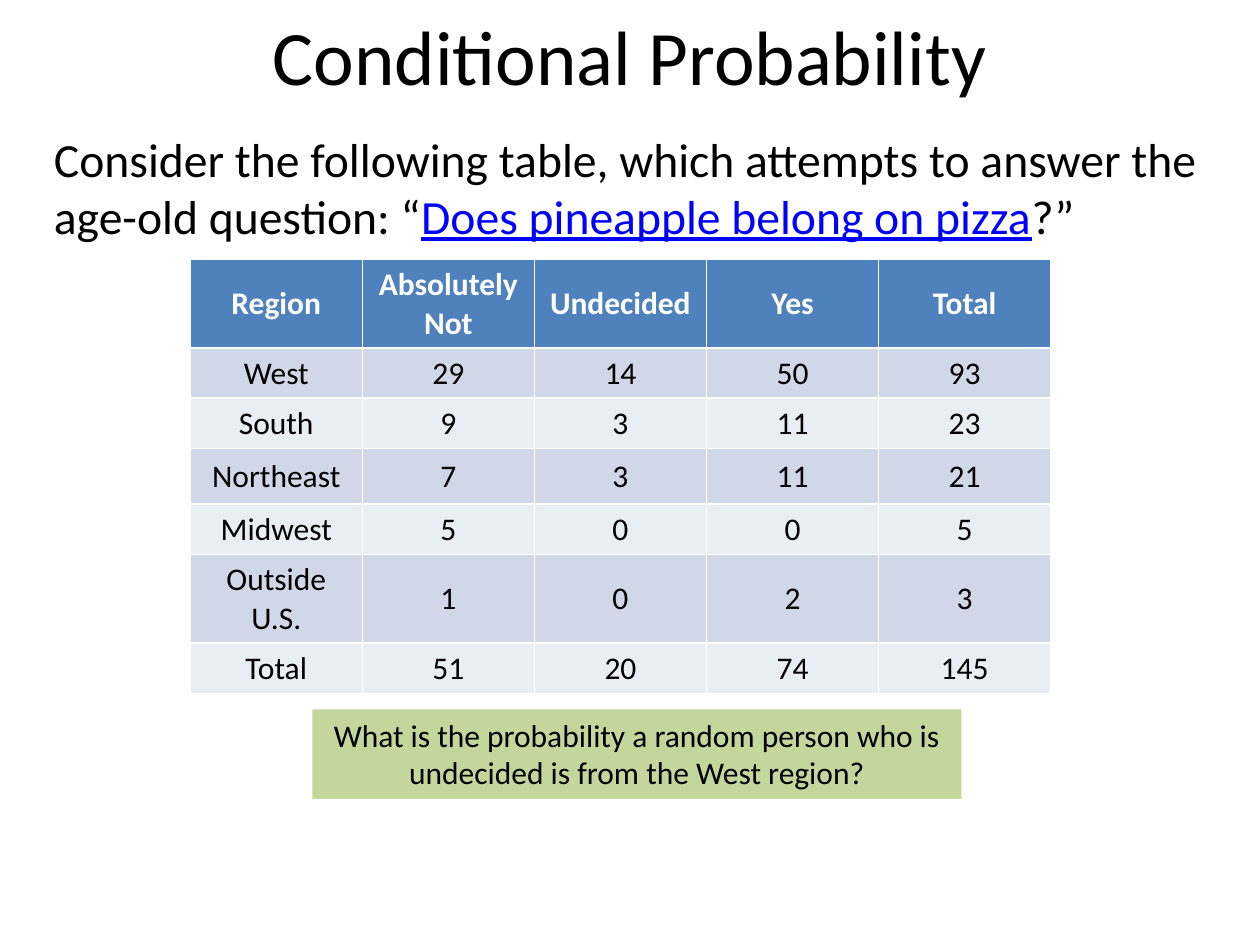
"""Build a slide on conditional probability with a survey table and a question."""
from dataclasses import dataclass

from pptx import Presentation
from pptx import util as u
from pptx.dml.color import RGBColor
from pptx.enum import shapes, text

FONT = "Calibri"
BLACK = RGBColor(0x00, 0x00, 0x00)
WHITE = RGBColor(0xFF, 0xFF, 0xFF)
LINK_BLUE = RGBColor(0x00, 0x00, 0xFF)
HEADER_BLUE = RGBColor(0x4F, 0x81, 0xBD)
BANDS = (RGBColor(0xE9, 0xED, 0xF4), RGBColor(0xD0, 0xD8, 0xE8))
QUESTION_GREEN = RGBColor(0xC3, 0xD6, 0x9B)
CENTER = text.PP_ALIGN.CENTER
MIDDLE = text.MSO_ANCHOR.MIDDLE


@dataclass(frozen=True)
class Box:
    left: float
    top: float
    width: float
    height: float

    def lengths(self) -> tuple:
        return tuple(u.Inches(value) for value in (self.left, self.top, self.width, self.height))


@dataclass(frozen=True)
class Run:
    words: str
    color: RGBColor = BLACK
    underline: bool = False


@dataclass(frozen=True)
class TableRow:
    height: float
    cells: tuple


TITLE = Box(0.5, -0.01, 9, 0.88)
INTRODUCTION = Box(0.33, 0.98, 9.34, 1.23)
SURVEY = Box(1.51, 2.06, 6.83, 3.44)
QUESTION = Box(2.48, 5.63, 5.15, 0.71)

INTRODUCTION_RUNS = (
    Run("Consider the following table, which attempts to answer the age-old question: “"),
    Run("Does pineapple belong on pizza", LINK_BLUE, True),
    Run("?”"),
)
SURVEY_ROWS = (
    TableRow(0.65, ("Region", "Absolutely Not", "Undecided", "Yes", "Total")),
    TableRow(0.38, ("West", 29, 14, 50, 93)),
    TableRow(0.38, ("South", 9, 3, 11, 23)),
    TableRow(0.44, ("Northeast", 7, 3, 11, 21)),
    TableRow(0.35, ("Midwest", 5, 0, 0, 5)),
    TableRow(0.65, ("Outside U.S.", 1, 0, 2, 3)),
    TableRow(0.38, ("Total", 51, 20, 74, 145)),
)


def style_paragraph(paragraph, size: float, color: RGBColor = BLACK, bold: bool = False,
                    alignment=CENTER) -> None:
    paragraph.alignment = alignment
    paragraph.font.name = FONT
    paragraph.font.size = u.Pt(size)
    paragraph.font.bold = bold
    paragraph.font.color.rgb = color


def add_text(slide, box: Box, runs: tuple, size: float, alignment=CENTER,
             anchor=text.MSO_ANCHOR.TOP) -> None:
    frame = slide.shapes.add_textbox(*box.lengths()).text_frame
    frame.word_wrap = True
    frame.vertical_anchor = anchor
    paragraph = frame.paragraphs[0]
    style_paragraph(paragraph, size, alignment=alignment)
    for item in runs:
        run = paragraph.add_run()
        run.text = item.words
        run.font.color.rgb = item.color
        run.font.underline = item.underline


def add_survey(slide, box: Box, rows: tuple) -> None:
    graphic_frame = slide.shapes.add_table(len(rows), len(rows[0].cells), *box.lengths())
    table = graphic_frame.table
    for row_index, row in enumerate(rows):
        table.rows[row_index].height = u.Inches(row.height)
        is_header = row_index == 0
        for column_index, value in enumerate(row.cells):
            cell = table.cell(row_index, column_index)
            cell.text = str(value)
            cell.vertical_anchor = MIDDLE
            cell.fill.solid()
            cell.fill.fore_color.rgb = HEADER_BLUE if is_header else BANDS[row_index % 2]
            style_paragraph(cell.text_frame.paragraphs[0], 18,
                            WHITE if is_header else BLACK, is_header)
    graphic_frame.height = u.Inches(box.height)


def add_question(slide, box: Box, words: str) -> None:
    shape = slide.shapes.add_shape(shapes.MSO_SHAPE.RECTANGLE, *box.lengths())
    shape.shadow.inherit = False
    shape.fill.solid()
    shape.fill.fore_color.rgb = QUESTION_GREEN
    shape.line.fill.background()
    frame = shape.text_frame
    frame.word_wrap = True
    frame.auto_size = text.MSO_AUTO_SIZE.SHAPE_TO_FIT_TEXT
    frame.vertical_anchor = text.MSO_ANCHOR.TOP
    frame.text = words
    style_paragraph(frame.paragraphs[0], 18)


def main() -> None:
    presentation = Presentation()
    presentation.slide_width = u.Inches(10)
    presentation.slide_height = u.Inches(7.5)
    slide = presentation.slides.add_slide(presentation.slide_layouts[6])
    add_text(slide, TITLE, (Run("Conditional Probability"),), 44, anchor=MIDDLE)
    add_text(slide, INTRODUCTION, INTRODUCTION_RUNS, 27.2, alignment=text.PP_ALIGN.LEFT)
    add_survey(slide, SURVEY, SURVEY_ROWS)
    add_question(slide, QUESTION, "What is the probability a random person who is "
                                  "undecided is from the West region?")
    presentation.save("out.pptx")


if __name__ == "__main__":
    main()
